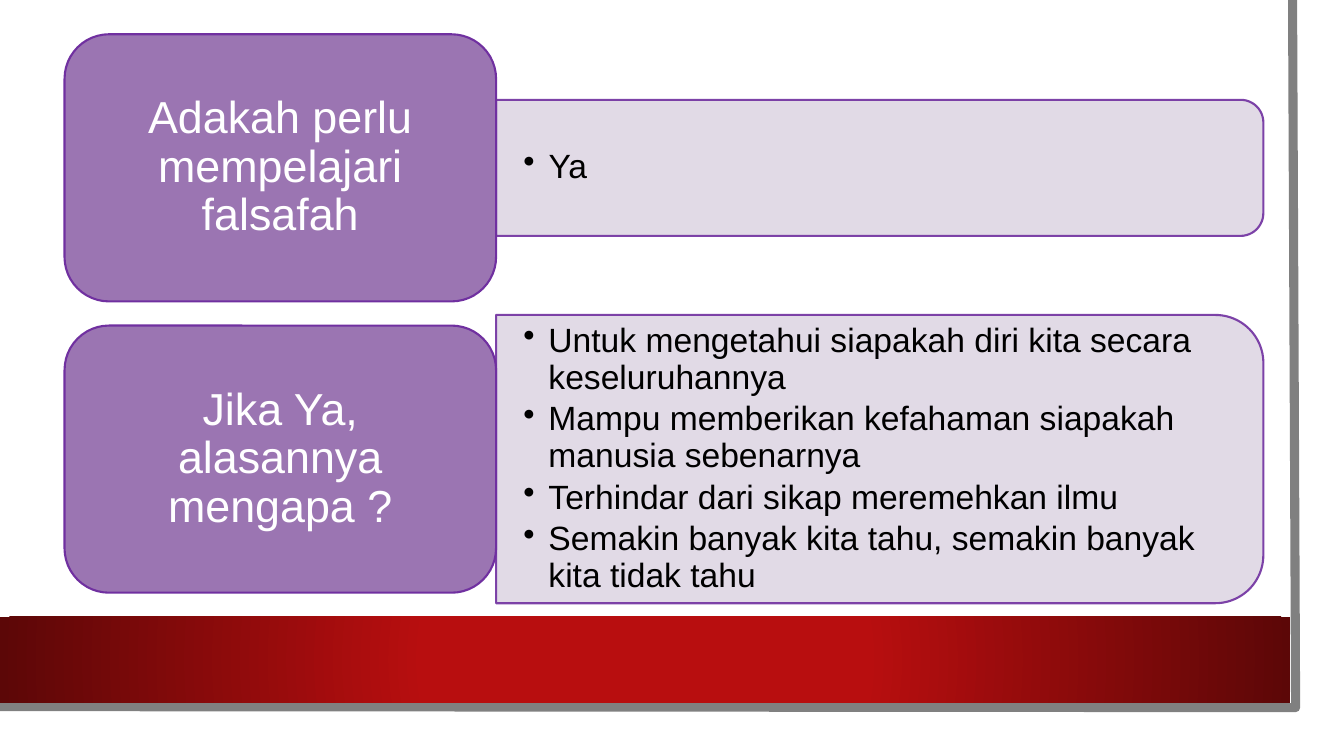
from lxml import etree
from pptx import Presentation
from pptx.dml.color import RGBColor
from pptx.enum.shapes import MSO_SHAPE
from pptx.enum.text import MSO_ANCHOR, PP_ALIGN
from pptx.oxml import parse_xml
from pptx.oxml.ns import nsdecls, qn
from pptx.util import Inches, Pt

ROUNDED = MSO_SHAPE.ROUNDED_RECTANGLE
ROUNDED_TOP = MSO_SHAPE.ROUND_2_SAME_RECTANGLE
RECTANGLE = MSO_SHAPE.RECTANGLE
MIDDLE = MSO_ANCHOR.MIDDLE
CENTER, LEFT = PP_ALIGN.CENTER, PP_ALIGN.LEFT

COLORS = {
    "frame": "808080",
    "band": "B80E0F",
    "band_edge": "5C0707",
    "card": "9B75B2",
    "panel": "DED6E4",
    "outline": "7030A0",
    "card_text": "FFFFFF",
    "panel_text": "000000",
}
CARD_LEFT, CARD_WIDTH, CARD_HEIGHT = 0.64, 4.28, 2.65
PANEL_LEFT, PANEL_WIDTH = 4.92, 7.61
ROWS = [
    {
        "question": "Adakah perlu mempelajari falsafah",
        "answers": ["Ya"],
        "middle": 1.665, "panel_height": 1.35, "text_width": 7.55,
    },
    {
        "question": "Jika Ya, alasannya mengapa ?",
        "answers": [
            "Untuk mengetahui siapakah diri kita secara keseluruhannya",
            "Mampu memberikan kefahaman siapakah manusia sebenarnya",
            "Terhindar dari sikap meremehkan ilmu",
            "Semakin banyak kita tahu, semakin banyak kita tidak tahu",
        ],
        "middle": 4.555, "panel_height": 2.86, "text_width": 7.47,
    },
]


def add_outlined_shape(kind, left, top, width, height, fill, opacity=100):
    shape = slide.shapes.add_shape(
        kind, Inches(left), Inches(top), Inches(width), Inches(height))
    shape.shadow.inherit = False
    shape.fill.solid()
    shape.fill.fore_color.rgb = RGBColor.from_string(COLORS[fill])
    shape.line.color.rgb = RGBColor.from_string(COLORS["outline"])
    shape.line.width = Pt(1.5)
    if opacity < 100:
        for color in shape._element.spPr.iter(qn("a:srgbClr")):
            etree.SubElement(color, qn("a:alpha"), val=str(opacity * 1000))
    return shape


def write_text(shape, lines, size, color, align, inset_x, inset_y, bullet=False):
    frame = shape.text_frame
    settings = {
        "word_wrap": True, "vertical_anchor": MIDDLE,
        "margin_left": Inches(inset_x), "margin_right": Inches(inset_x),
        "margin_top": Inches(inset_y), "margin_bottom": Inches(inset_y),
    }
    for name, value in settings.items():
        setattr(frame, name, value)
    for index, line in enumerate(lines):
        para = frame.add_paragraph() if index else frame.paragraphs[0]
        para.alignment = align
        para.line_spacing = 0.9
        para.space_after = Pt(4)
        span = para.add_run()
        span.text = line
        span.font.name = "Arial"
        span.font.size = Pt(size)
        span.font.color.rgb = RGBColor.from_string(COLORS[color])
        if bullet:
            properties = para._p.get_or_add_pPr()
            properties.set("marL", str(Inches(0.25)))
            properties.set("indent", str(Inches(-0.25)))
            etree.SubElement(properties, qn("a:buChar"), char="•")


deck = Presentation()
deck.slide_width, deck.slide_height = Inches(13.33), Inches(7.5)
slide = deck.slides.add_slide(deck.slide_layouts[6])

# Grey edge along the right and the bottom
builder = slide.shapes.build_freeform(Inches(12.82), Inches(0))
builder.add_line_segments(
    [(Inches(12.85), Inches(7.02)), (Inches(-0.03), Inches(7.01))], close=False)
edge = builder.convert_to_shape()
edge.shadow.inherit = False
edge.fill.background()
edge.line.color.rgb = RGBColor.from_string(COLORS["frame"])
edge.line.width = Pt(6.5)

# Red band with a radial gradient
band = slide.shapes.add_shape(
    RECTANGLE, Inches(0), Inches(6.12), Inches(12.8), Inches(0.85))
band.shadow.inherit = False
band.line.fill.background()
band.fill.background()
no_fill = band._element.spPr.find(qn("a:noFill"))
gradient = parse_xml(
    f'<a:gradFill {nsdecls("a")} rotWithShape="1"><a:gsLst>'
    f'<a:gs pos="34000"><a:srgbClr val="{COLORS["band"]}"/></a:gs>'
    f'<a:gs pos="100000"><a:srgbClr val="{COLORS["band_edge"]}"/></a:gs>'
    '</a:gsLst><a:path path="circle">'
    '<a:fillToRect l="50000" t="50000" r="50000" b="50000"/>'
    '</a:path></a:gradFill>')
band._element.spPr.replace(no_fill, gradient)

# One question card and one answer panel per row
for row in ROWS:
    middle, height = row["middle"], row["panel_height"]
    # The panel is drawn upright and turned about its centre
    panel = add_outlined_shape(
        ROUNDED_TOP, PANEL_LEFT + (PANEL_WIDTH - height) / 2,
        middle - PANEL_WIDTH / 2, height, PANEL_WIDTH, "panel", opacity=90)
    panel.rotation = 90

    text_height = height * 0.9
    answer_box = slide.shapes.add_textbox(
        Inches(PANEL_LEFT), Inches(middle - text_height / 2),
        Inches(row["text_width"]), Inches(text_height))
    write_text(answer_box, row["answers"], 24, "panel_text", LEFT,
               0.27, 0.14, bullet=True)

    card = add_outlined_shape(
        ROUNDED, CARD_LEFT, middle - CARD_HEIGHT / 2,
        CARD_WIDTH, CARD_HEIGHT, "card")
    write_text(card, [row["question"]], 32, "card_text", CENTER, 0.26, 0.2)

deck.save("out.pptx")
